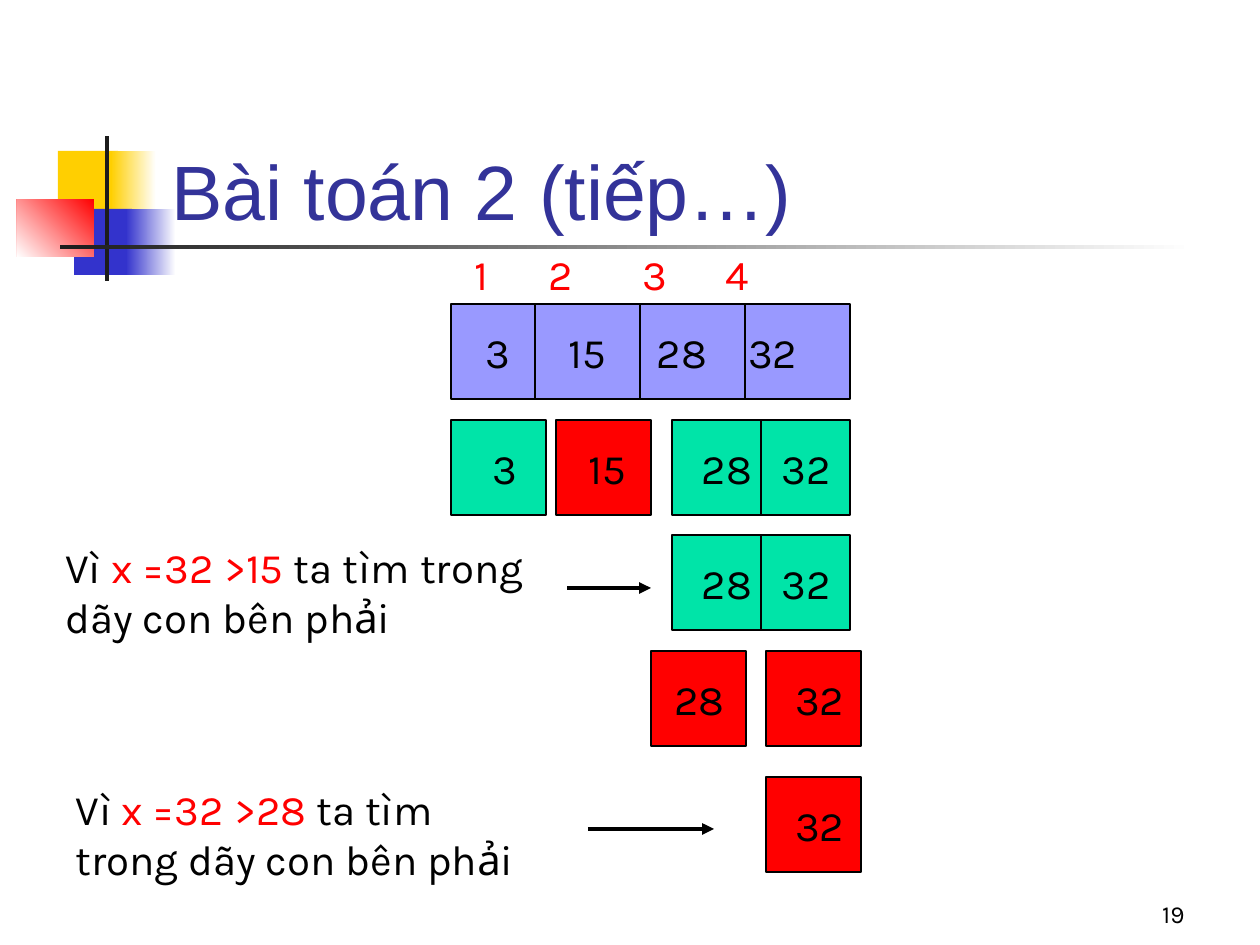
from dataclasses import dataclass

from lxml.etree import SubElement
from pptx import Presentation
from pptx.dml.color import RGBColor
from pptx.enum.shapes import MSO_CONNECTOR, MSO_SHAPE
from pptx.enum.text import MSO_ANCHOR, PP_ALIGN
from pptx.oxml.ns import qn
from pptx.util import Emu, Inches, Pt

PX_PER_INCH = 126
INSET = 13


def px(length):
    return Emu(round(length * Inches(1) / PX_PER_INCH))


@dataclass(frozen=True)
class Theme:
    white: str = "FFFFFF"
    black: str = "000000"
    bar: str = "1C1C1C"
    yellow: str = "FFCF01"
    blue: str = "3333CC"
    red: str = "FF0000"
    title: str = "333399"
    array: str = "9999FF"
    subarray: str = "00E4A8"
    title_font: str = "Arial"
    body_font: str = "Karla"
    title_size: int = 44
    body_size: int = 24
    number_size: int = 14
    thin: float = 0.75
    thick: float = 2.25


class SlideBuilder:
    def __init__(self, slide, theme):
        self.shapes = slide.shapes
        self.theme = theme

    def block(self, x, y, w, h, fill, outlined=False):
        rect = self.shapes.add_shape(MSO_SHAPE.RECTANGLE, px(x), px(y), px(w), px(h))
        rect.shadow.inherit = False
        rect.fill.solid()
        rect.fill.fore_color.rgb = RGBColor.from_string(fill)
        if outlined:
            rect.line.color.rgb = RGBColor.from_string(self.theme.black)
            rect.line.width = Pt(self.theme.thin)
        else:
            rect.line.fill.background()
        return rect

    def fade(self, x, y, w, h, start, end, angle=180):
        """Add a block with a gradient; the angle runs counter-clockwise."""
        fill = self.block(x, y, w, h, start).fill
        fill.gradient()
        fill.gradient_angle = angle
        for stop, color in zip(fill.gradient_stops, (start, end)):
            stop.color.rgb = RGBColor.from_string(color)

    def style(self, run, color, size=None, font=None):
        run.font.size = Pt(size or self.theme.body_size)
        run.font.name = font or self.theme.body_font
        run.font.color.rgb = RGBColor.from_string(color)

    def text(self, x, y, w, h, parts, size=None, font=None,
             anchor=MSO_ANCHOR.TOP, align=PP_ALIGN.LEFT):
        """Add a text box; parts are (wording, colour) pairs."""
        frame = self.shapes.add_textbox(px(x), px(y), px(w), px(h)).text_frame
        frame.word_wrap = True
        frame.vertical_anchor = anchor
        paragraph = frame.paragraphs[0]
        paragraph.alignment = align
        for wording, color in parts:
            run = paragraph.add_run()
            run.text = wording
            self.style(run, color, size, font)
        return frame

    def tab_values(self, frame, left, values, starts, color):
        """Write values on one line, each beginning at its own x."""
        frame.margin_left = px(starts[0] - left)
        frame.margin_right = 0
        paragraph = frame.paragraphs[0]
        paragraph.text = "\t".join(values)
        paragraph.alignment = PP_ALIGN.LEFT
        if len(starts) > 1:
            tabs = SubElement(paragraph._p.get_or_add_pPr(), qn("a:tabLst"))
            for start in starts[1:]:
                SubElement(tabs, qn("a:tab"), pos=str(px(start - starts[0])), algn="l")
        for run in paragraph.runs:
            self.style(run, color)

    def cells(self, x, y, w, fill, values, starts, dividers=()):
        h = 95
        rect = self.block(x, y, w, h, fill, outlined=True)
        frame = rect.text_frame
        frame.word_wrap = True
        frame.vertical_anchor = MSO_ANCHOR.MIDDLE
        self.tab_values(frame, x, values, starts, self.theme.black)
        for divider in dividers:
            edge = self.line(divider, y, divider, y + h, self.theme.thin)
            if 2 * divider == 2 * x + w:
                edge.begin_connect(rect, 0)
                edge.end_connect(rect, 2)

    def line(self, x1, y1, x2, y2, width):
        connector = self.shapes.add_connector(
            MSO_CONNECTOR.STRAIGHT, px(x1), px(y1), px(x2), px(y2))
        connector.line.color.rgb = RGBColor.from_string(self.theme.black)
        connector.line.width = Pt(width)
        SubElement(connector._element.spPr, qn("a:effectLst"))
        return connector

    def arrow(self, x1, x2, y):
        connector = self.line(x1, y, x2, y, self.theme.thick)
        SubElement(connector.line._get_or_add_ln(), qn("a:tailEnd"), type="triangle")

    def note(self, x, y, w, condition):
        black = self.theme.black
        frame = self.text(x, y, w, 113, [
            ("Vì ", black), (condition, self.theme.red),
            (" ta tìm trong dãy con bên phải", black)])
        frame.paragraphs[0].space_before = Pt(15)


def main():
    presentation = Presentation()
    presentation.slide_width, presentation.slide_height = Inches(10), Inches(7.5)
    theme = Theme()
    slide = SlideBuilder(
        presentation.slides.add_slide(presentation.slide_layouts[6]), theme)

    # Corner ornament and title rule
    slide.block(58, 151, 60, 66, theme.yellow)
    slide.fade(111, 151, 45, 66, theme.white, theme.yellow)
    slide.block(74, 209, 58, 66, theme.blue)
    slide.fade(126, 209, 50, 66, theme.white, theme.blue)
    slide.fade(17, 199, 77, 58, theme.red, theme.white, 225)
    slide.block(105, 136, 4, 145, theme.bar)
    slide.fade(60, 245, 1134, 4, theme.white, theme.bar)

    slide.text(935, 872, 262, 63, [("19", theme.black)], size=theme.number_size,
               anchor=MSO_ANCHOR.BOTTOM, align=PP_ALIGN.RIGHT)
    slide.text(159, 84, 1074, 158, [("Bài toán 2 (tiếp…)", theme.title)],
               size=theme.title_size, font=theme.title_font,
               anchor=MSO_ANCHOR.BOTTOM)

    # Sorted array with its indices
    slide.cells(451, 304, 399, theme.array, ["3", "15", "28", "32"],
                [485, 569, 657, 748], [535, 640, 745])
    index_left = 462
    indices = slide.text(index_left, 242, 399, 63, [])
    slide.tab_values(indices, index_left, ["1", "2", "3", "4"],
                     [index_left + INSET, 549, 643, 726], theme.red)
    indices.paragraphs[0].space_before = Pt(15)

    # Split around 15, then keep the right half
    slide.cells(451, 420, 95, theme.subarray, ["3"], [492])
    slide.cells(556, 420, 95, theme.red, ["15"], [589])
    for top in (420, 535):
        slide.cells(672, top, 178, theme.subarray, ["28", "32"], [702, 782], [761])
    slide.note(53, 535, 535, "x =32 >15")
    slide.arrow(567, 651, 588)

    # Split around 28, then keep 32
    slide.cells(651, 651, 95, theme.red, ["28"], [674])
    for top in (651, 777):
        slide.cells(766, top, 95, theme.red, ["32"], [795])
    slide.note(63, 777, 483, "x =32 >28")
    slide.arrow(588, 714, 829)

    presentation.save("out.pptx")


if __name__ == "__main__":
    main()
